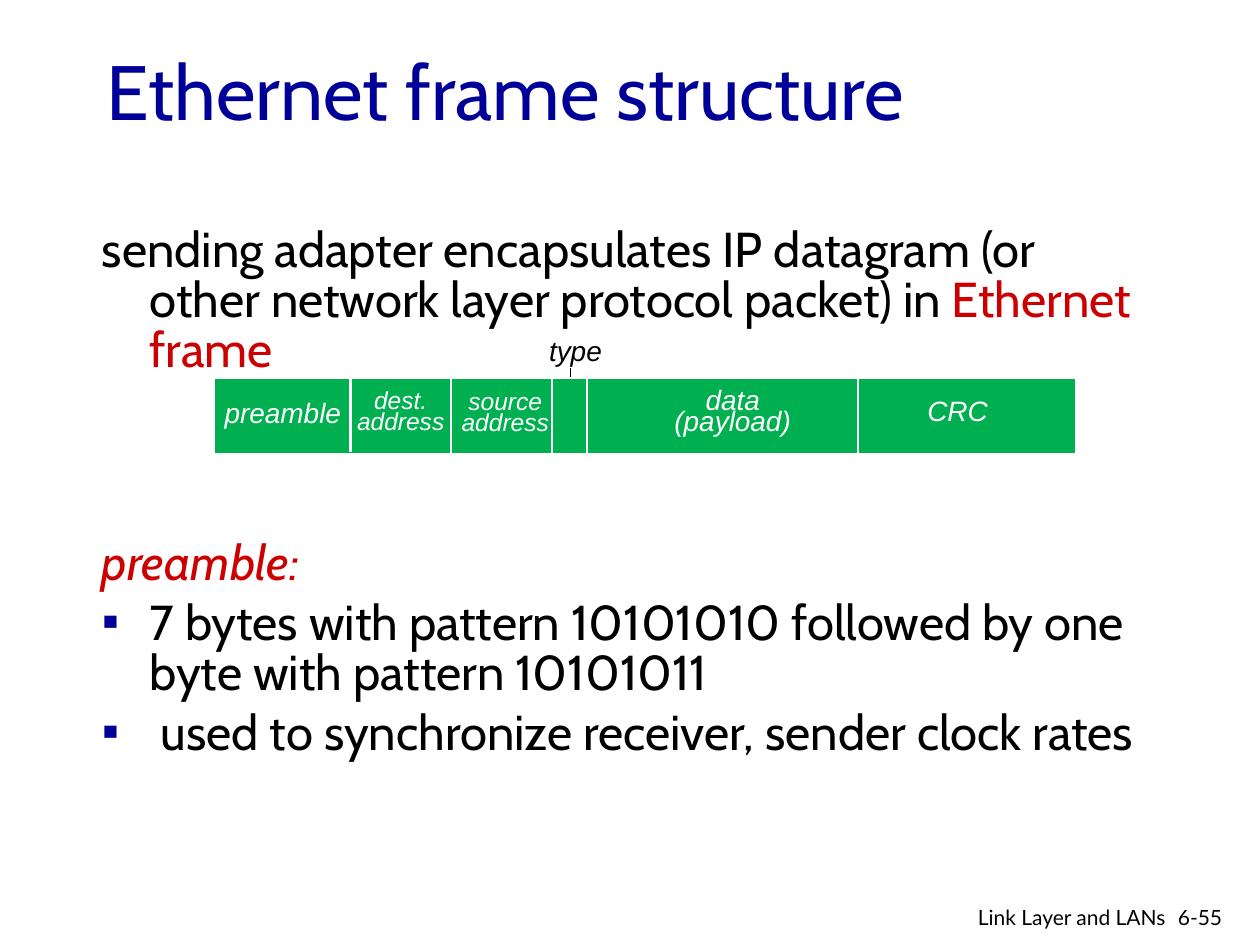
from pptx import Presentation
from pptx.enum import shapes, text
from pptx.oxml import parse_xml
from pptx.oxml.ns import nsdecls, qn
from pptx.util import Inches, Pt
from pptx.dml.color import RGBColor

COLORS = {"navy": "000099", "red": "CC0000", "black": "000000",
          "white": "FFFFFF", "green": "00B050"}
LEFT, CENTER, RIGHT = text.PP_ALIGN.LEFT, text.PP_ALIGN.CENTER, text.PP_ALIGN.RIGHT

deck = Presentation()
deck.slide_width, deck.slide_height = Inches(10), Inches(7.5)
page = deck.slides.add_slide(deck.slide_layouts[6])


def write(paragraphs, at, size, font, color="black", italic=False, align=LEFT,
          anchor=text.MSO_ANCHOR.TOP, spacing=None, before=0, indent=0):
    box = page.shapes.add_textbox(*map(Inches, at))
    frame = box.text_frame
    frame.word_wrap = True
    frame.vertical_anchor = anchor
    for number, spans in enumerate(paragraphs):
        para = frame.add_paragraph() if number else frame.paragraphs[0]
        para.alignment = align
        para.line_spacing = spacing
        para.space_before = Pt(before)
        if indent:
            props = para._p.get_or_add_pPr()
            props.set("marL", str(Inches(indent)))
            props.set("indent", str(-Inches(indent)))
        for words, *style in [(spans,)] if isinstance(spans, str) else spans:
            span = para.add_run()
            span.text = words
            span.font.name = font
            span.font.size = Pt(size)
            span.font.italic = "italic" in style or italic
            shade = next((name for name in style if name in COLORS), color)
            span.font.color.rgb = RGBColor.from_string(COLORS[shade])
    return frame


def draw_vertical(x, top, bottom, color, width):
    line = page.shapes.add_connector(
        shapes.MSO_CONNECTOR.STRAIGHT, Inches(x), Inches(top), Inches(x), Inches(bottom))
    line.line.color.rgb = RGBColor.from_string(COLORS[color])
    line.line.width = Pt(width)
    line._element.spPr.append(parse_xml(f"<a:effectLst {nsdecls('a')}/>"))


write(["Ethernet frame structure"], (0.75, 0.38, 8.5, 0.67), 44, "Cabin",
      color="navy", anchor=text.MSO_ANCHOR.MIDDLE)

body = dict(size=28, font="Cabin", spacing=0.85, before=5.6, indent=0.38)
write([[("sending adapter encapsulates IP datagram (or other network layer protocol packet) in ",),
        ("Ethernet frame", "red")]], (0.71, 1.76, 8.5, 1.3), **body)
details = write([[("preamble:", "red", "italic")],
                 "7 bytes with pattern 10101010 followed by one byte with pattern 10101011",
                 " used to synchronize receiver, sender clock rates"],
                (0.71, 4.24, 8.5, 2.27), **body)
for para in details.paragraphs[1:]:
    props = para._p.get_or_add_pPr()
    for markup in (f'<a:buClr {nsdecls("a")}><a:srgbClr val="{COLORS["navy"]}"/></a:buClr>',
                   f'<a:buFont {nsdecls("a")} typeface="Arial"/>',
                   f'<a:buChar {nsdecls("a")} char="▪"/>'):
        props.append(parse_xml(markup))

draw_vertical(4.53, 2.92, 3.14, "black", 0.75)
frame_bar = page.shapes.add_shape(
    shapes.MSO_SHAPE.RECTANGLE, Inches(1.7), Inches(3), Inches(6.84), Inches(0.6))
frame_bar.shadow.inherit = False
frame_bar.fill.solid()
frame_bar.fill.fore_color.rgb = RGBColor.from_string(COLORS["green"])
frame_bar.line.color.rgb = RGBColor.from_string(COLORS["white"])
frame_bar.line.width = Pt(0.75)
for x, bottom in [(2.78, 3.59), (3.58, 3.63), (4.38, 3.6), (4.66, 3.63), (6.81, 3.68)]:
    draw_vertical(x, 3, bottom, "white", 1.5)

for paragraphs, at, size in [
    (["dest.", "address"], (2.72, 3.07, 0.92, 0.45), 14),
    (["source", "address"], (3.55, 3.08, 0.92, 0.45), 14),
    (["data (payload)"], (5.06, 3.09, 1.51, 0.45), 16),
    (["CRC"], (7.13, 3.17, 0.94, 0.29), 16),
    (["preamble"], (1.66, 3.19, 1.17, 0.29), 16),
]:
    write(paragraphs, at, size, "Arial", color="white", italic=True,
          align=CENTER, spacing=Pt(12))
write(["type"], (4.26, 2.6, 0.84, 0.37), 16, "Arial", italic=True)

write(["6-55"], (9.25, 7.13, 0.6, 0.3), 12, "Lato")
write(["Link Layer and LANs"], (6.97, 7.13, 2.38, 0.26), 12, "Lato", align=RIGHT)

deck.save("out.pptx")
